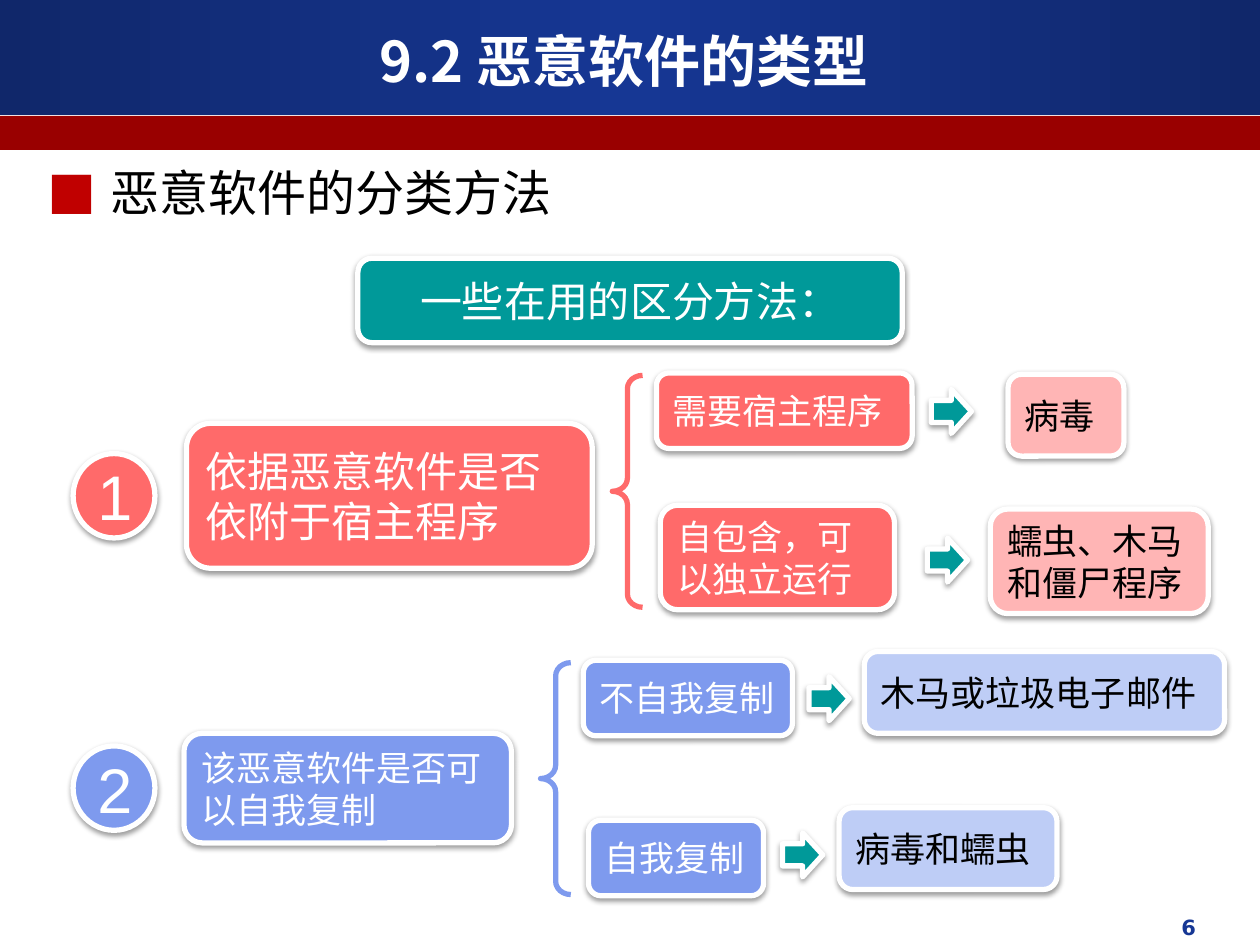
"""Build the slide on ways of classifying malicious software."""
from copy import deepcopy

from lxml.etree import SubElement
from pptx import Presentation
from pptx.dml.color import RGBColor
from pptx.enum.shapes import MSO_SHAPE
from pptx.enum.text import MSO_ANCHOR, PP_ALIGN
from pptx.oxml.ns import qn
from pptx.util import Inches, Pt

WHITE = RGBColor(0xFF, 0xFF, 0xFF)
BLACK = RGBColor(0, 0, 0)
NAVY = RGBColor(0x10, 0x27, 0x6A)
BLUE = RGBColor(0x16, 0x37, 0x94)
DARK_RED = RGBColor(0x99, 0, 0)
BULLET_RED = RGBColor(0xC0, 0, 0)
TEAL = RGBColor(0, 0x99, 0x99)
CORAL = RGBColor(0xFF, 0x6A, 0x6A)
PINK = RGBColor(0xFF, 0xB5, 0xB5)
PERIWINKLE = RGBColor(0x7E, 0x9A, 0xEE)
PALE_BLUE = RGBColor(0xBE, 0xCD, 0xF6)
CJK = "Noto Sans CJK SC"

TITLE = "9.2 恶意软件的类型"
TOPIC = "恶意软件的分类方法"
HEADING = "一些在用的区分方法："
PAGE = "6"
METHODS = [
    {
        "number": "1", "badge_top": 3.6, "dark": CORAL, "light": PINK,
        "basis": ("依据恶意软件是否依附于宿主程序", (1.48, 3.36, 3.22, 1.15), 24),
        "brace": (4.86, 2.98),
        "branches": [
            ("需要宿主程序", (5.21, 2.96, 2.03, 0.6), (7.39, 3.09),
             "病毒", (8, 2.97, 0.92, 0.65)),
            ("自包含，可以独立运行", (5.24, 4.01, 1.86, 0.83), (7.36, 4.27),
             "蠕虫、木马和僵尸程序", (7.86, 4.04, 1.73, 0.83)),
        ],
    },
    {
        "number": "2", "badge_top": 5.92, "dark": PERIWINKLE, "light": PALE_BLUE,
        "basis": ("该恶意软件是否可以自我复制", (1.46, 5.82, 2.6, 0.87), 20),
        "brace": (4.29, 5.26),
        "branches": [
            ("不自我复制", (4.63, 5.24, 1.66, 0.6), (6.42, 5.37),
             "木马或垃圾电子邮件", (6.86, 5.17, 2.86, 0.65)),
            ("自我复制", (4.67, 6.51, 1.39, 0.6), (6.21, 6.61),
             "病毒和蠕虫", (6.66, 6.41, 1.73, 0.65)),
        ],
    },
]


def write(shape, text, size, color, align=PP_ALIGN.LEFT, anchor=MSO_ANCHOR.MIDDLE,
          name=CJK, bold=False):
    frame = shape.text_frame
    for key, value in {"word_wrap": True, "vertical_anchor": anchor}.items():
        setattr(frame, key, value)
    paragraph = frame.paragraphs[0]
    paragraph.alignment = align
    run = paragraph.add_run()
    run.text = text
    for key, value in {"size": Pt(size), "name": name, "bold": bold}.items():
        setattr(run.font, key, value)
    run.font.color.rgb = color
    SubElement(run.font._element, qn("a:ea"), typeface=name)
    return paragraph


def add_figure(slide, kind, box, fill=None, line=None, width=3):
    figure = slide.shapes.add_shape(kind, *map(Inches, box))
    figure.shadow.inherit = False
    if fill is None:
        figure.fill.background()
    else:
        figure.fill.solid()
        figure.fill.fore_color.rgb = fill
    if line is None:
        figure.line.fill.background()
    else:
        figure.line.color.rgb = line
        figure.line.width = Pt(width)
    return figure


def add_raised(slide, kind, box, fill):
    figure = add_figure(slide, kind, box, fill, WHITE)
    effects = figure._element.spPr.find(qn("a:effectLst"))
    shadow = SubElement(effects, qn("a:outerShdw"), blurRad=str(Pt(3.1)),
                        dist=str(Pt(1.6)), dir="5400000", rotWithShape="0")
    tint = SubElement(shadow, qn("a:srgbClr"), val=str(BLACK))
    SubElement(tint, qn("a:alpha"), val="38000")
    return figure


def add_card(slide, text, box, fill, color=WHITE, size=20, align=PP_ALIGN.LEFT):
    write(add_raised(slide, MSO_SHAPE.ROUNDED_RECTANGLE, box, fill),
          text, size, color, align)


def add_header(slide):
    banner = add_figure(slide, MSO_SHAPE.RECTANGLE, (0, 0, 10, 0.91), NAVY)
    banner.fill.gradient()
    banner.fill.gradient_angle = 0
    first = banner.fill.gradient_stops[0]._gs
    first.addnext(deepcopy(first))
    for stop, (position, color) in zip(banner.fill.gradient_stops,
                                       [(0, NAVY), (0.5, BLUE), (1, NAVY)]):
        stop.position = position
        stop.color.rgb = color
    add_figure(slide, MSO_SHAPE.RECTANGLE, (0, 0.92, 10, 0.27), DARK_RED)
    title = slide.shapes.add_textbox(*map(Inches, (0.33, 0.17, 9.25, 0.62)))
    write(title, TITLE, 32, WHITE, PP_ALIGN.CENTER, bold=True)
    page = slide.shapes.add_textbox(*map(Inches, (6.42, 7.21, 3.17, 0.35)))
    write(page, PAGE, 12, BLUE, PP_ALIGN.RIGHT, MSO_ANCHOR.TOP, "DejaVu Sans", True)


def add_topic(slide):
    topic = add_figure(slide, MSO_SHAPE.RECTANGLE, (0.28, 1.24, 9.02, 0.57),
                       WHITE, WHITE, 2)
    paragraph = write(topic, TOPIC, 28, BLACK, anchor=MSO_ANCHOR.TOP)
    properties = paragraph._p.get_or_add_pPr()
    for key, value in {"marL": Inches(0.5), "indent": -Inches(0.5)}.items():
        properties.set(key, str(value))
    bullet_color = SubElement(properties, qn("a:buClr"))
    SubElement(bullet_color, qn("a:srgbClr"), val=str(BULLET_RED))
    SubElement(properties, qn("a:buFont"), typeface=CJK)
    SubElement(properties, qn("a:buChar"), char="■")


def add_method(slide, method):
    dark, light = method["dark"], method["light"]
    badge = add_raised(slide, MSO_SHAPE.OVAL,
                       (0.58, method["badge_top"], 0.65, 0.67), dark)
    write(badge, method["number"], 36, WHITE, PP_ALIGN.CENTER, name="Arial")
    basis, basis_box, basis_size = method["basis"]
    add_card(slide, basis, basis_box, dark, size=basis_size)
    brace = add_figure(slide, MSO_SHAPE.LEFT_BRACE, (*method["brace"], 0.24, 1.84),
                       line=dark)
    brace.adjustments[0] = 0.436
    for trait, trait_box, arrow, examples, examples_box in method["branches"]:
        add_card(slide, trait, trait_box, dark)
        add_card(slide, examples, examples_box, light, BLACK)
        add_raised(slide, MSO_SHAPE.RIGHT_ARROW, (*arrow, 0.32, 0.35), TEAL)


def main():
    deck = Presentation()
    deck.slide_width, deck.slide_height = Inches(10), Inches(7.5)
    slide = deck.slides.add_slide(deck.slide_layouts[6])
    add_header(slide)
    add_topic(slide)
    add_card(slide, HEADING, (2.84, 2.05, 4.32, 0.67), TEAL,
             size=24, align=PP_ALIGN.CENTER)
    for method in METHODS:
        add_method(slide, method)
    deck.save("out.pptx")


if __name__ == "__main__":
    main()
